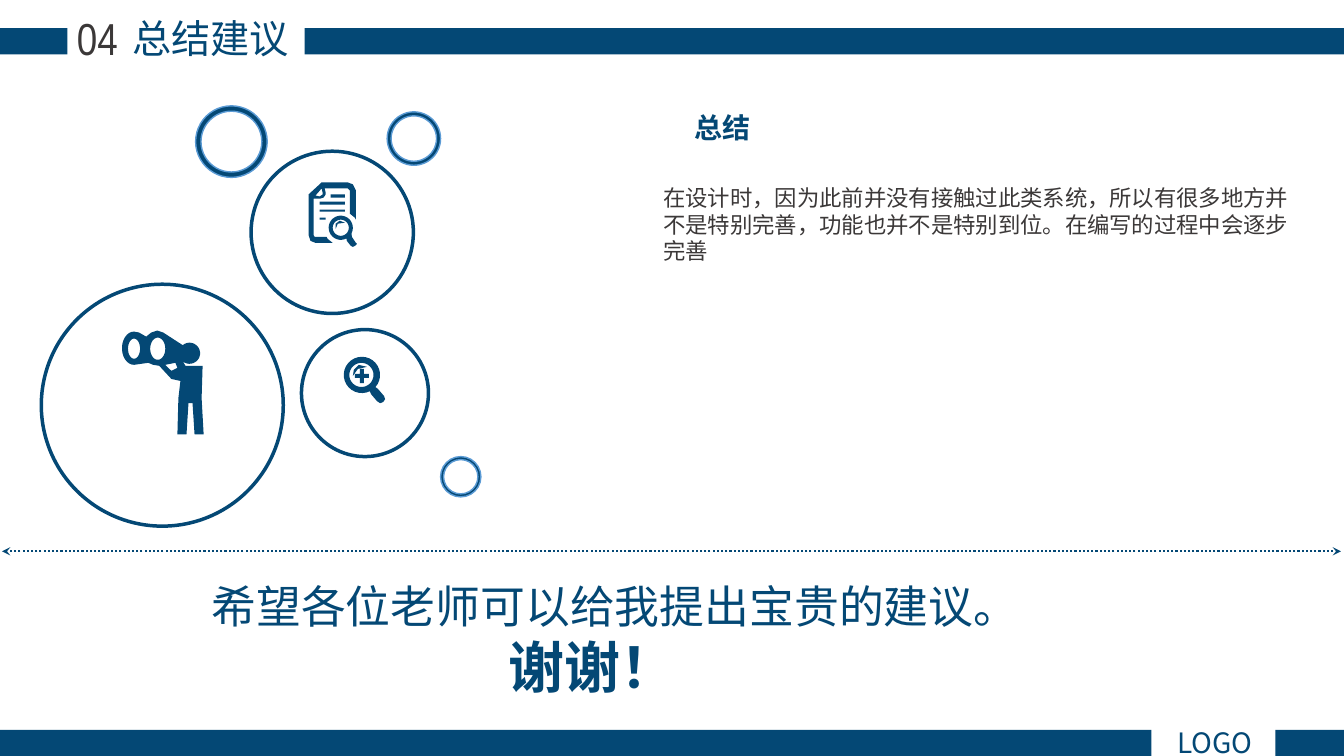
from dataclasses import dataclass
from math import cos, radians, sin

from lxml.etree import SubElement
from pptx import Presentation
from pptx.dml.color import RGBColor
from pptx.enum.dml import MSO_LINE
from pptx.enum.shapes import MSO_CONNECTOR, MSO_SHAPE
from pptx.enum.text import MSO_AUTO_SIZE, PP_ALIGN
from pptx.oxml.ns import qn
from pptx.util import Emu, Pt

PX = 9144  # 100 px to the inch
NAVY = RGBColor(0x04, 0x48, 0x75)
SKY = RGBColor(0x5B, 0x9B, 0xD5)
CHARCOAL = RGBColor(0x3B, 0x38, 0x38)
CJK_FONT = "Noto Sans CJK SC"

Point = tuple[float, float]
Contour = list[Point]


@dataclass(frozen=True)
class Bar:
    left: int
    top: int
    width: int


@dataclass(frozen=True)
class Circle:
    left: int
    top: int
    size: int


@dataclass(frozen=True)
class Line:
    text: str
    size: int
    color: RGBColor = NAVY
    font: str = "Calibri"
    bold: bool = False
    align: PP_ALIGN = PP_ALIGN.CENTER
    spacing: int | None = None


@dataclass(frozen=True)
class TextBlock:
    left: int
    top: int
    width: int
    height: int
    lines: tuple[Line, ...]


def arc(x: float, y: float, rx: float, ry: float, start: int, end: int) -> Contour:
    """Points on an ellipse between two angles, clockwise when end exceeds start."""
    steps = max(2, abs(end - start) // 12)
    angles = [radians(start + (end - start) * i / steps) for i in range(steps + 1)]
    return [(x + rx * cos(a), y + ry * sin(a)) for a in angles]


def ellipse(x: float, y: float, rx: float, ry: float) -> Contour:
    return arc(x, y, rx, ry, 0, 360)


def rectangle(left: int, top: int, width: int, height: int) -> Contour:
    right, bottom = left + width, top + height
    return [(left, top), (right, top), (right, bottom), (left, bottom)]


BARS = [Bar(0, 28, 67), Bar(302, 28, 1032), Bar(1265, 724, 68), Bar(0, 724, 1142)]
RINGS = [Circle(194, 105, 71), Circle(384, 111, 53), Circle(437, 453, 40)]
BUBBLES = [Circle(41, 282, 240), Circle(249, 150, 161), Circle(299, 327, 126)]

OBSERVER: list[Contour] = [
    [(156, 328), (150, 330), (145, 334), (138, 330),
     *arc(133, 345.5, 12, 16.5, 270, 90),
     (147, 360), (152, 362), (158, 363), (170, 376), (179, 378), (177, 395),
     (176, 431), (185, 431), (187, 400), (191, 400), (193, 431), (202, 431),
     (200, 395), (201, 363), (184, 363), (181, 358),
     *arc(188, 350.5, 10.5, 10.5, 130, -130), (162, 330)],
    [(176, 365), (170, 368), (164, 362), (174, 360)],
    ellipse(133, 346, 6, 10),
    ellipse(156.5, 346, 7.5, 11),
]
DOCUMENT: list[Contour] = [
    [(319, 181), (345, 181), (350, 183), (353, 189), (353, 218), (352, 216),
     (347, 212), (347, 189), (345, 187), (322, 187), (323, 191), (323, 193),
     (321, 196), (318, 197), (311, 197), (311, 233), (312, 235), (324, 235),
     (325, 237), (330, 241), (313, 241), (308, 239), (306, 233), (306, 193),
     (318, 182)],
    [(319, 187), (313, 194), (317, 195), (320, 193), (320, 191)],
    rectangle(317, 216, 6, 2),
    rectangle(317, 208, 25, 2),
    rectangle(317, 200, 25, 3),
    rectangle(328, 193, 14, 3),
    [*arc(338, 226, 12, 12, 62, 387), (349, 235), (353, 241), (354, 242),
     (352, 244), (350, 245), (348, 244), (344, 239)],
    ellipse(338, 226, 8, 8),
    [(333, 227), (335, 222), (342, 221), (337, 219), (333, 222)],
]
MAGNIFIER: list[Contour] = [
    [*arc(359, 372, 18, 18, 64, 402), (375, 386), (381, 393), (382, 396),
     (380, 399), (377, 400), (374, 398), (368, 391)],
    ellipse(358.5, 372, 12, 12),
    [(357, 380), (361, 380), (361, 375), (366, 375), (366, 371), (361, 371),
     (361, 366), (357, 366), (357, 371), (352, 371), (352, 375), (357, 375)],
    [(350, 373), (355, 366), (364, 364), (356, 362), (351, 367)],
]

TEXTS = [
    TextBlock(29, 9, 360, 57, (Line("总结建议", 28, font=CJK_FONT),)),
    TextBlock(57, 6, 79, 64, (Line("04", 32, CHARCOAL, "Arial Narrow"),)),
    TextBlock(1123, 715, 164, 44, (Line("LOGO", 20, font=CJK_FONT),)),
    TextBlock(648, 178, 662, 90, (Line(
        "在设计时，因为此前并没有接触过此类系统，所以有很多地方并不是特别完善，"
        "功能也并不是特别到位。在编写的过程中会逐步完善",
        16, CHARCOAL, align=PP_ALIGN.LEFT, spacing=19),)),
    TextBlock(547, 105, 340, 44, (Line("总结", 20, bold=True),)),
    TextBlock(188, 569, 800, 131, (
        Line("希望各位老师可以给我提出宝贵的建议。", 32),
        Line("谢谢！", 40, bold=True))),
]


def px(*lengths: int) -> list[Emu]:
    return [Emu(length * PX) for length in lengths]


def paint(shape, fill: RGBColor | None, line: RGBColor | None = None, width: float = 1) -> None:
    shape.shadow.inherit = False
    if fill is None:
        shape.fill.background()
    else:
        shape.fill.solid()
        shape.fill.fore_color.rgb = fill
    if line is None:
        shape.line.fill.background()
    else:
        shape.line.color.rgb = line
        shape.line.width = Pt(width)


def add_bar(page, bar: Bar) -> None:
    paint(page.shapes.add_shape(MSO_SHAPE.RECTANGLE, *px(bar.left, bar.top, bar.width, 26)), NAVY)


def add_ring(page, ring: Circle) -> None:
    shape = page.shapes.add_shape(MSO_SHAPE.DONUT, *px(ring.left, ring.top, ring.size, ring.size))
    shape.adjustments[0] = 0.075
    paint(shape, NAVY, SKY)


def add_bubble(page, bubble: Circle) -> None:
    area = px(bubble.left, bubble.top, bubble.size, bubble.size)
    paint(page.shapes.add_shape(MSO_SHAPE.OVAL, *area), None, NAVY, 2.5)


def add_icon(page, contours: list[Contour]) -> None:
    """Draw one shape whose inner contours alternate between hole and ink."""
    scaled = [[(x * PX, y * PX) for x, y in contour] for contour in contours]
    builder = page.shapes.build_freeform(*scaled[0][0])
    for number, (start, *others) in enumerate(scaled):
        if number:
            builder.move_to(*start)
        builder.add_line_segments(others, close=True)
    paint(builder.convert_to_shape(), NAVY)


def add_divider(page) -> None:
    divider = page.shapes.add_connector(MSO_CONNECTOR.STRAIGHT, *px(1330, 547, 2, 547))
    divider.line.color.rgb = NAVY
    divider.line.width = Pt(1.5)
    divider.line.dash_style = MSO_LINE.ROUND_DOT
    outline = divider.line._get_or_add_ln()
    for end in ("a:headEnd", "a:tailEnd"):
        SubElement(outline, qn(end), type="stealth")
    SubElement(divider._element.spPr, qn("a:effectLst"))


def add_text(page, block: TextBlock) -> None:
    box = page.shapes.add_textbox(*px(block.left, block.top, block.width, block.height))
    frame = box.text_frame
    frame.word_wrap = True
    frame.auto_size = MSO_AUTO_SIZE.SHAPE_TO_FIT_TEXT
    for number, line in enumerate(block.lines):
        paragraph = frame.add_paragraph() if number else frame.paragraphs[0]
        paragraph.text = line.text
        paragraph.alignment = line.align
        if line.spacing:
            paragraph.line_spacing = Pt(line.spacing)
        font = paragraph.font
        font.name, font.size, font.bold = line.font, Pt(line.size), line.bold
        font.color.rgb = line.color
        defaults = paragraph._p.pPr.find(qn("a:defRPr"))
        SubElement(defaults, qn("a:ea"), typeface=CJK_FONT)


def main() -> None:
    deck = Presentation()
    deck.slide_width, deck.slide_height = px(1333, 750)
    page = deck.slides.add_slide(deck.slide_layouts[6])
    for bar in BARS:
        add_bar(page, bar)
    for ring in RINGS:
        add_ring(page, ring)
    for bubble, icon in zip(BUBBLES, (OBSERVER, DOCUMENT, MAGNIFIER)):
        add_bubble(page, bubble)
        add_icon(page, icon)
    add_divider(page)
    for block in TEXTS:
        add_text(page, block)
    deck.save("out.pptx")


if __name__ == "__main__":
    main()
